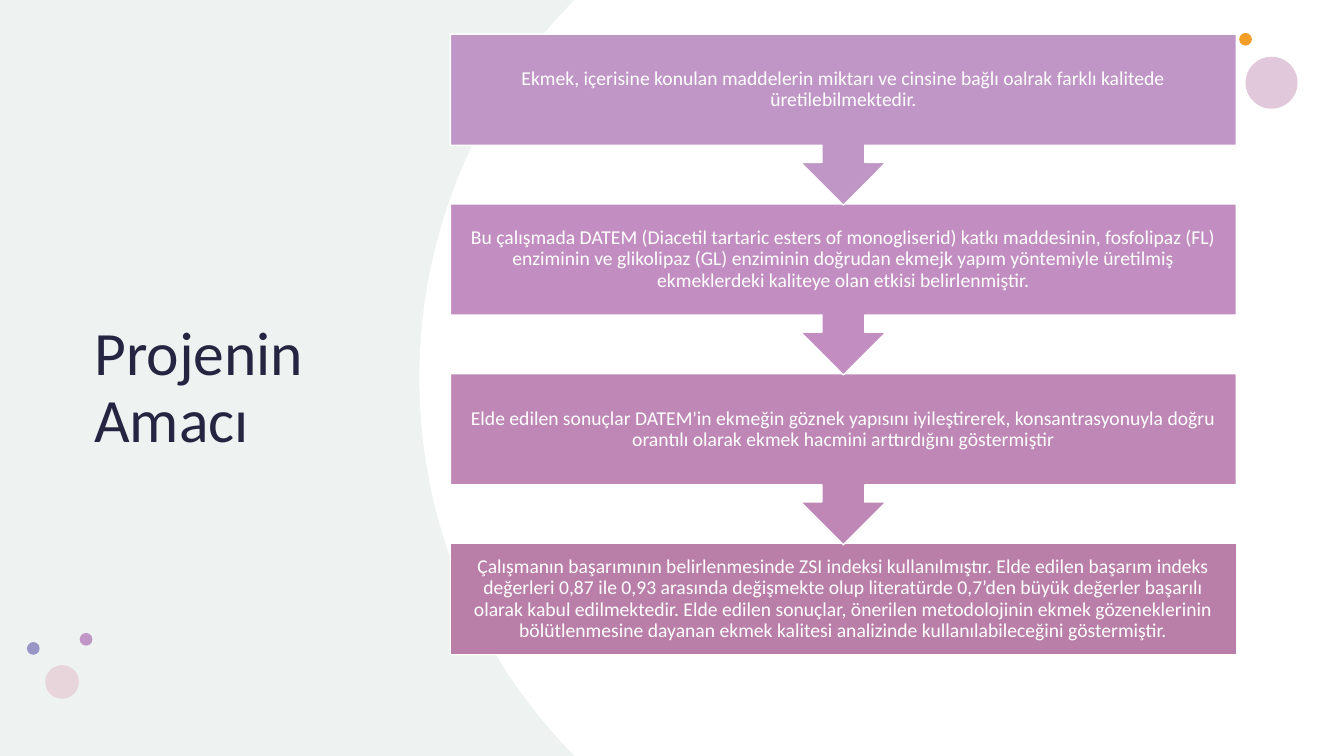
import math

import pptx
import pptx.dml.color
import pptx.enum.shapes
import pptx.enum.text
import pptx.util

Cm, Pt = pptx.util.Cm, pptx.util.Pt
Kind = pptx.enum.shapes.MSO_SHAPE
Align = pptx.enum.text.PP_ALIGN
Anchor = pptx.enum.text.MSO_ANCHOR

HUES = {
    "mist": "EEF2F1", "white": "FFFFFF", "ink": "252441",
    "lilac": "C096C6", "orchid": "C28EC1", "mauve": "BE87B6", "plum": "BA7FA9",
    "rose": "E1C8DA", "amber": "F39E29", "blush": "E8D5DB", "iris": "9896C6",
}


def paint(shape, hue, edge=None):
    shape.shadow.inherit = False
    shape.fill.solid()
    shape.fill.fore_color.rgb = pptx.dml.color.RGBColor.from_string(HUES[hue])
    if edge:
        shape.line.color.rgb = pptx.dml.color.RGBColor.from_string(HUES[edge])
        shape.line.width = Pt(1)
    else:
        shape.line.fill.background()


def write(shape, text, size, hue, align, inset):
    """Put one paragraph, centred vertically, into the shape."""
    frame = shape.text_frame
    frame.text = text
    para = frame.paragraphs[0]
    gap, rim = inset
    looks = (
        (frame, {"word_wrap": True, "vertical_anchor": Anchor.MIDDLE,
                 "margin_left": gap, "margin_right": gap,
                 "margin_top": rim, "margin_bottom": rim}),
        (para, {"alignment": align, "line_spacing": 0.9}),
        (para.runs[0].font, {"name": "Calibri", "size": Pt(size)}),
    )
    for part, look in looks:
        for name, value in look.items():
            setattr(part, name, value)
    para.runs[0].font.color.rgb = pptx.dml.color.RGBColor.from_string(HUES[hue])


deck = pptx.Presentation()
deck.slide_width, deck.slide_height = Cm(33.87), Cm(19.05)
slide = deck.slides.add_slide(deck.slide_layouts[6])
shapes = slide.shapes
back = slide.background.fill
back.solid()
back.fore_color.rgb = pptx.dml.color.RGBColor.from_string(HUES["mist"])

# White area bounded on the left by a circular arc
radius, mid_x, mid_y = 13.55, 24.12, 9.525
reach = math.asin(mid_y / radius)
steps = 80
arc = []
for i in range(steps + 1):
    turn = reach * (2 * i / steps - 1)
    arc.append((Cm(mid_x - radius * math.cos(turn)),
                Cm(mid_y + radius * math.sin(turn))))
pen = shapes.build_freeform(deck.slide_width, 0)
pen.add_line_segments(arc + [(deck.slide_width, deck.slide_height)], close=True)
paint(pen.convert_to_shape(), "white")

# Dots: left, top, diameter, colour
dots = (
    (31.39, 1.43, 1.31, "rose"),
    (31.23, 0.83, 0.32, "amber"),
    (2.01, 15.95, 0.32, "lilac"),
    (1.14, 16.76, 0.85, "blush"),
    (0.68, 16.18, 0.32, "iris"),
)
for left, top, size, hue in dots:
    dot = shapes.add_shape(Kind.OVAL, Cm(left), Cm(top), Cm(size), Cm(size))
    paint(dot, hue)

title = shapes.add_textbox(Cm(2.13), Cm(2.64), Cm(7.95), Cm(14.33))
write(title, "Projenin Amacı", 44, "ink", Align.LEFT, (Cm(0.25), Cm(0.13)))

stages = (
    ("lilac", "Ekmek, içerisine konulan maddelerin miktarı ve cinsine bağlı oalrak "
     "farklı kalitede üretilebilmektedir."),
    ("orchid", "Bu çalışmada DATEM (Diacetil tartaric esters of monogliserid) katkı "
     "maddesinin, fosfolipaz (FL) enziminin ve glikolipaz (GL) enziminin doğrudan "
     "ekmejk yapım yöntemiyle üretilmiş ekmeklerdeki kaliteye olan etkisi "
     "belirlenmiştir."),
    ("mauve", "Elde edilen sonuçlar DATEM'in ekmeğin göznek yapısını iyileştirerek, "
     "konsantrasyonuyla doğru orantılı olarak ekmek hacmini arttırdığını göstermiştir"),
    ("plum", "Çalışmanın başarımının belirlenmesinde ZSI indeksi kullanılmıştır. Elde "
     "edilen başarım indeks değerleri 0,87 ile 0,93 arasında değişmekte olup "
     "literatürde 0,7’den büyük değerler başarılı olarak kabul edilmektedir. Elde "
     "edilen sonuçlar, önerilen metodolojinin ekmek gözeneklerinin bölütlenmesine "
     "dayanan ekmek kalitesi analizinde kullanılabileceğini göstermiştir."),
)
# Built from the bottom up, so that each arrow tip lies over the next box
last = len(stages) - 1
for i in range(last, -1, -1):
    hue, text = stages[i]
    kind, height = Kind.DOWN_ARROW_CALLOUT, 4.31
    if i == last:
        kind, height = Kind.RECTANGLE, 2.8
    stage = shapes.add_shape(kind, Cm(11.35), Cm(0.86 + 4.28 * i), Cm(19.81), Cm(height))
    paint(stage, hue, "white")
    write(stage, text, 14, "white", Align.CENTER, (Cm(0.28), Cm(0.28)))

deck.save("out.pptx")
